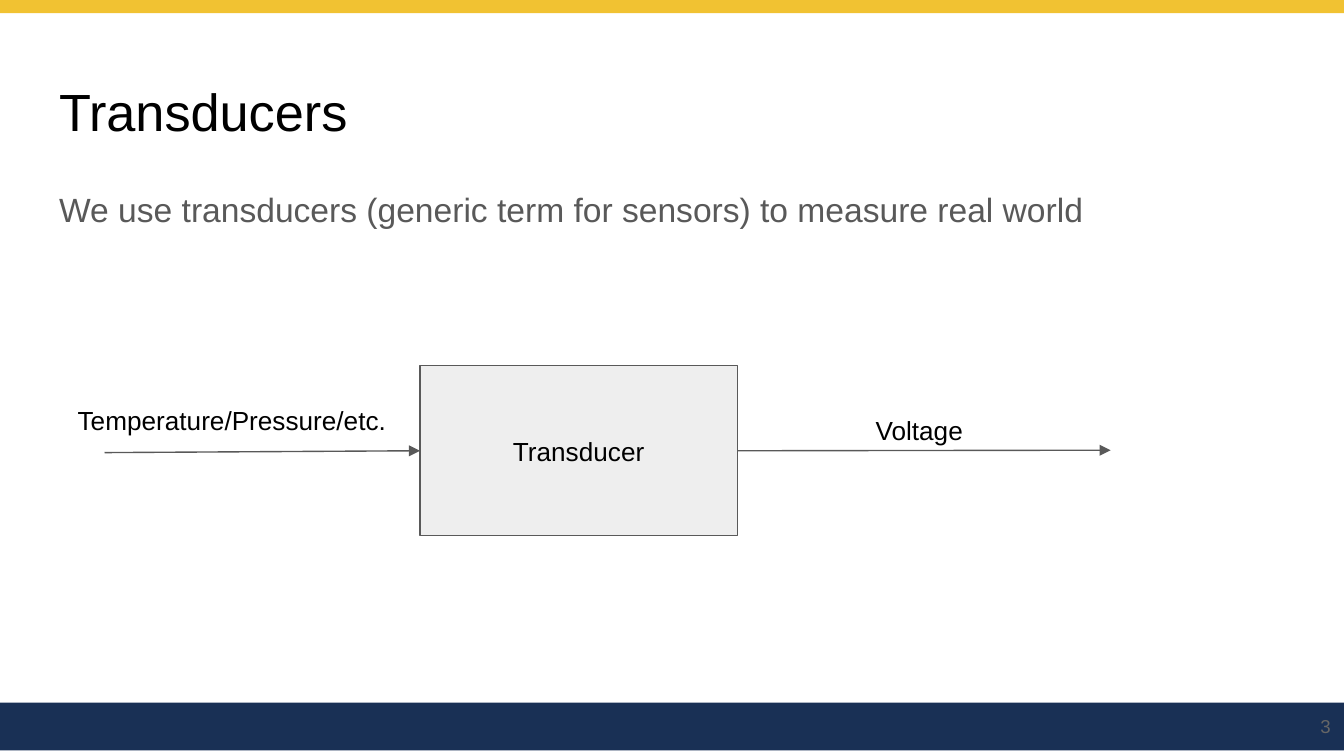
import pptx
import pptx.dml.color
import pptx.enum.shapes
import pptx.enum.text
import pptx.oxml.ns
import pptx.util
from lxml import etree

Pt = pptx.util.Pt
ALIGN = pptx.enum.text.PP_ALIGN
ANCHOR = pptx.enum.text.MSO_ANCHOR
RECTANGLE = pptx.enum.shapes.MSO_SHAPE.RECTANGLE
qn = pptx.oxml.ns.qn

# Content: lengths in points, boxes as left, top, width, height
SLIDE_SIZE = (720, 405)
BLACK, GREY = "000000", "595959"
BARS = [((-1.5, 376.5, 723.5, 25.5), "193055"),
        ((-1.5, 0, 723.5, 7), "F1C232")]
TITLE = ("Transducers", (24.5, 35, 671, 45))
BODY = ("We use transducers (generic term for sensors) to measure real world",
        (24.5, 90.75, 671, 269))
TRANSDUCER = ("Transducer", (225, 196, 170, 91))
SIGNALS = [("Temperature/Pressure/etc.", (34.5, 209.5, 190, 31)),
           ("Voltage", (462, 215, 164, 19.5))]
PAGE = ("3", (676.8, 373.7, 43.2, 31))
INPUT_START = (56, 242.5)
OUTPUT_END = (595, 241.2)


def color(hex_code):
    return pptx.dml.color.RGBColor.from_string(hex_code)


def place(shape, box):
    shape.left, shape.top, shape.width, shape.height = map(Pt, box)


def write(shape, text, size, ink=BLACK, align=ALIGN.LEFT, anchor=ANCHOR.TOP):
    frame = shape.text_frame
    frame.word_wrap = True
    frame.auto_size = pptx.enum.text.MSO_AUTO_SIZE.NONE
    frame.vertical_anchor = anchor
    frame.margin_left = frame.margin_right = Pt(7.2)
    frame.margin_top = frame.margin_bottom = Pt(7.2)
    paragraph = frame.paragraphs[0]
    paragraph.alignment = align
    paragraph.space_before = Pt(0)
    run = paragraph.add_run()
    run.text = text
    run.font.name = "Arial"
    run.font.size = Pt(size)
    run.font.color.rgb = color(ink)
    return paragraph


def add_rectangle(box, fill, outline=None):
    shape = slide.shapes.add_shape(RECTANGLE, *map(Pt, box))
    shape.shadow.inherit = False
    shape.fill.solid()
    shape.fill.fore_color.rgb = color(fill)
    if outline:
        shape.line.color.rgb = color(outline)
        shape.line.width = Pt(0.75)
    else:
        shape.line.fill.background()
    return shape


def add_arrow(start, end):
    arrow = slide.shapes.add_connector(
        pptx.enum.shapes.MSO_CONNECTOR.STRAIGHT, *map(Pt, start + end))
    arrow.line.color.rgb = color(GREY)
    arrow.line.width = Pt(0.75)
    properties = arrow.element.spPr
    etree.SubElement(properties.find(qn("a:ln")), qn("a:tailEnd"), type="triangle")
    etree.SubElement(properties, qn("a:effectLst"))
    return arrow


deck = pptx.Presentation()
deck.slide_width, deck.slide_height = map(Pt, SLIDE_SIZE)
slide = deck.slides.add_slide(deck.slide_layouts[1])

# Template bars and page number
for box, fill in BARS:
    add_rectangle(box, fill)
page_text, page_box = PAGE
page = slide.shapes.add_textbox(*map(Pt, page_box))
write(page, page_text, 10, "666666", ALIGN.RIGHT, ANCHOR.MIDDLE)

# Title and body
title_text, title_box = TITLE
title = slide.shapes.title
place(title, title_box)
write(title, title_text, 28)

body_text, body_box = BODY
body = slide.placeholders[1]
place(body, body_box)
statement = write(body, body_text, 18, GREY)
statement.line_spacing = 1.15
indents = statement._p.get_or_add_pPr()
indents.set("marL", "0")
indents.set("indent", "0")
etree.SubElement(indents, qn("a:buNone"))

# Transducer with its input and output
transducer_text, transducer_box = TRANSDUCER
transducer = add_rectangle(transducer_box, "EEEEEE", GREY)
write(transducer, transducer_text, 14, align=ALIGN.CENTER, anchor=ANCHOR.MIDDLE)

left, top, width, height = transducer_box
middle = top + height / 2
input_arrow = add_arrow(INPUT_START, (left, middle))
input_arrow.end_connect(transducer, 1)
output_arrow = add_arrow((left + width, middle), OUTPUT_END)
output_arrow.begin_connect(transducer, 3)

for signal, box in SIGNALS:
    write(slide.shapes.add_textbox(*map(Pt, box)), signal, 14)

deck.save("out.pptx")
